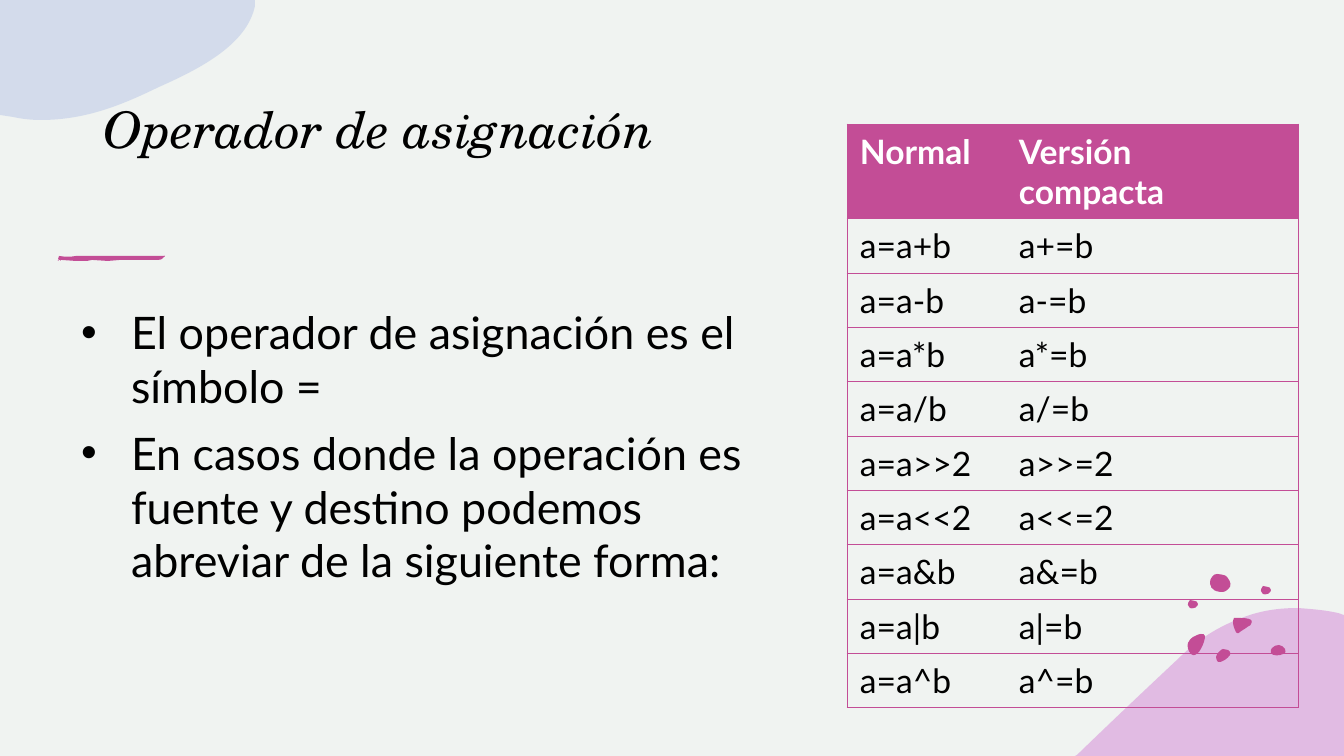
from lxml.etree import SubElement
from pptx import Presentation
from pptx.dml.color import RGBColor
from pptx.enum.text import MSO_ANCHOR
from pptx.oxml.ns import qn
from pptx.util import Pt

PX = 9071
HUES = {"paper": "F0F3F1", "pink": "C34D96", "mauve": "D384D6",
        "blue": "B8C5E7", "ink": "000000", "white": "FFFFFF"}


def write(frame, lines, size=24, font="Lato", hue="ink", bold=False,
          slant=False, dots=False, gap=0):
    frame.word_wrap = True
    for i, line in enumerate(lines):
        para = frame.paragraphs[0] if i == 0 else frame.add_paragraph()
        if i:
            para.space_before = Pt(gap)
        if dots:
            props = para._p.get_or_add_pPr()
            props.set("marL", str(50 * PX))
            props.set("indent", str(-50 * PX))
            SubElement(props, qn("a:buFont"), typeface="Arial")
            SubElement(props, qn("a:buChar"), char="•")
        run = para.add_run()
        run.text = line
        run.font.size = Pt(size)
        run.font.name = font
        run.font.bold = bold
        run.font.italic = slant
        run.font.color.rgb = RGBColor.from_string(HUES[hue])


def draw(start, parts, hue, alpha=100):
    ends = [part[-2:] for part in parts]
    left = min(x for x, y in [start] + ends)
    top = min(y for x, y in [start] + ends)
    pen = page.shapes.build_freeform(*start, scale=PX)
    pen.add_line_segments(ends, close=True)
    shape = pen.convert_to_shape()
    steps = list(shape._element.spPr.iter(qn("a:lnTo")))
    for step, part in zip(steps, parts):
        if len(part) == 6:
            curve = SubElement(step.getparent(), qn("a:cubicBezTo"))
            for x, y in zip(part[::2], part[1::2]):
                SubElement(curve, qn("a:pt"), x=str(x - left), y=str(y - top))
            step.getparent().replace(step, curve)
    shape.shadow.inherit = False
    shape.line.fill.background()
    shape.fill.solid()
    shape.fill.fore_color.rgb = RGBColor.from_string(HUES[hue])
    if alpha < 100:
        tint = shape._element.spPr.find(".//" + qn("a:srgbClr"))
        SubElement(tint, qn("a:alpha"), val=str(alpha * 1000))


deck = Presentation()
deck.slide_width = 1344 * PX
deck.slide_height = 756 * PX
page = deck.slides.add_slide(deck.slide_layouts[6])
page.background.fill.solid()
page.background.fill.fore_color.rgb = RGBColor.from_string(HUES["paper"])

draw((1298, 608), [
    (1311, 609, 1325, 610, 1338, 613), (1344, 615), (1344, 756), (1075, 756),
    (1077, 755), (1111, 722, 1146, 689, 1178, 659),
    (1201, 636, 1224, 624, 1247, 616), (1264, 610, 1281, 608, 1298, 608)],
    "mauve", alpha=50)

specks = [
    ((1223, 649), [
        (1225, 649, 1226, 649, 1228, 650), (1230, 651, 1231, 653, 1230, 655),
        (1228, 658, 1222, 663, 1218, 662), (1217, 661, 1216, 659, 1216, 657),
        (1216, 655, 1218, 652, 1220, 651), (1221, 650, 1222, 649, 1223, 649)]),
    ((1201, 634), [
        (1203, 634, 1205, 634, 1205, 636), (1205, 637, 1205, 637, 1205, 638),
        (1204, 643, 1202, 648, 1199, 652), (1197, 654, 1194, 657, 1191, 654),
        (1188, 651, 1187, 646, 1188, 643), (1189, 640, 1191, 639, 1193, 637),
        (1194, 637, 1198, 634, 1201, 634)]),
    ((1279, 645), [
        (1281, 645, 1284, 647, 1285, 649), (1286, 651, 1286, 653, 1283, 654),
        (1280, 656, 1272, 656, 1271, 653), (1270, 651, 1271, 649, 1272, 648),
        (1274, 646, 1276, 645, 1279, 645)]),
    ((1211, 586), [
        (1210, 586, 1209, 580, 1212, 577), (1214, 575, 1214, 574, 1217, 574),
        (1220, 574, 1224, 575, 1226, 576), (1228, 578, 1232, 583, 1230, 587),
        (1227, 590, 1226, 592, 1222, 592), (1219, 592, 1214, 591, 1213, 589),
        (1211, 588, 1211, 587, 1211, 586)]),
]
for x, y in ((1261, 591), (1188, 605)):
    specks.append(((x, y), [
        (x, y, x, y - 4, x + 2, y - 5), (x + 4, y - 5, x + 5, y - 5, x + 7, y - 4),
        (x + 8, y - 4, x + 10, y - 3, x + 10, y - 1),
        (x + 10, y, x + 9, y + 2, x + 8, y + 2),
        (x + 8, y + 2, x + 8, y + 3, x + 6, y + 3),
        (x + 5, y + 3, x + 3, y + 4, x + 2, y + 3), (x + 1, y + 1, x, y + 1, x, y)]))
specks.append(((1238, 618), [
    (1244, 618, 1255, 618, 1251, 624), (1251, 625, 1250, 626, 1249, 626),
    (1246, 628, 1243, 630, 1240, 632), (1239, 633, 1238, 634, 1237, 633),
    (1237, 633, 1236, 632, 1236, 632), (1234, 628, 1233, 625, 1233, 621),
    (1233, 620, 1233, 619, 1234, 618), (1236, 618, 1237, 618, 1238, 618)]))
for start, parts in specks:
    draw(start, parts, "pink")

draw((0, 0), [
    (255, 0), (255, 6), (247, 44, 202, 68, 159, 87),
    (124, 104, 87, 120, 41, 120), (31, 120, 22, 119, 13, 117), (0, 115), (0, 0)],
    "blue", alpha=50)

for x, y in ((58, 260), (60, 260), (164, 256)):
    draw((x, y), [(x + 1, y), (x, y + 1)], "pink")
draw((87, 261), [
    (92, 260), (108, 261), (120, 260), (134, 260), (150, 260),
    (158, 260), (164, 260, 162, 257, 165, 256), (158, 256), (134, 256),
    (112, 256), (89, 256), (76, 256), (71, 257, 65, 257, 59, 256),
    (58, 257, 57, 261, 61, 260), (76, 261)], "pink")

title = page.shapes.add_textbox(90 * PX, 18 * PX, 1199 * PX, 148 * PX).text_frame
body = page.shapes.add_textbox(67 * PX, 298 * PX, 699 * PX, 481 * PX).text_frame
for frame in (title, body):
    frame.margin_left = frame.margin_right = 13 * PX
    frame.margin_top = frame.margin_bottom = 7 * PX
body.margin_left = 14 * PX
title.vertical_anchor = MSO_ANCHOR.BOTTOM
write(title, ["Operador de asignación"], size=36, font="TeX Gyre Schola", slant=True)
write(body, [
    "El operador de asignación es el símbolo =",
    "En casos donde la operación es fuente y destino podemos abreviar de la siguiente forma:"],
    size=32, dots=True, gap=9.3)

rows = [("Normal", "Versión compacta")]
for sign, side in zip(["+", "-", "*", "/", ">>", "<<", "&", "|", "^"], "bbbb22bbb"):
    rows.append((f"a=a{sign}{side}", f"a{sign}={side}"))
grid = page.shapes.add_table(len(rows), 2, 847 * PX, 124 * PX, 451 * PX, 583 * PX).table
grid.horz_banding = False
grid.columns[0].width = 159 * PX
grid.columns[1].width = 292 * PX
for i, row in enumerate(rows):
    grid.rows[i].height = 489 * PX // 9 if i else 94 * PX
    for j, text in enumerate(row):
        cell = grid.cell(i, j)
        cell.margin_left = 13 * PX
        cell.margin_right = 20 * PX
        cell.margin_top = cell.margin_bottom = 7 * PX
        props = cell._tc.get_or_add_tcPr()
        for edge in "LRTB":
            line = SubElement(props, qn("a:ln" + edge), w=str(Pt(0.5)))
            if edge == "RL"[j]:
                SubElement(line, qn("a:noFill"))
            else:
                fill = SubElement(line, qn("a:solidFill"))
                SubElement(fill, qn("a:srgbClr"), val=HUES["pink"])
        if i == 0:
            cell.fill.solid()
            cell.fill.fore_color.rgb = RGBColor.from_string(HUES["pink"])
        else:
            cell.fill.background()
        write(cell.text_frame, [text], hue="ink" if i else "white", bold=i == 0)

deck.save("out.pptx")
